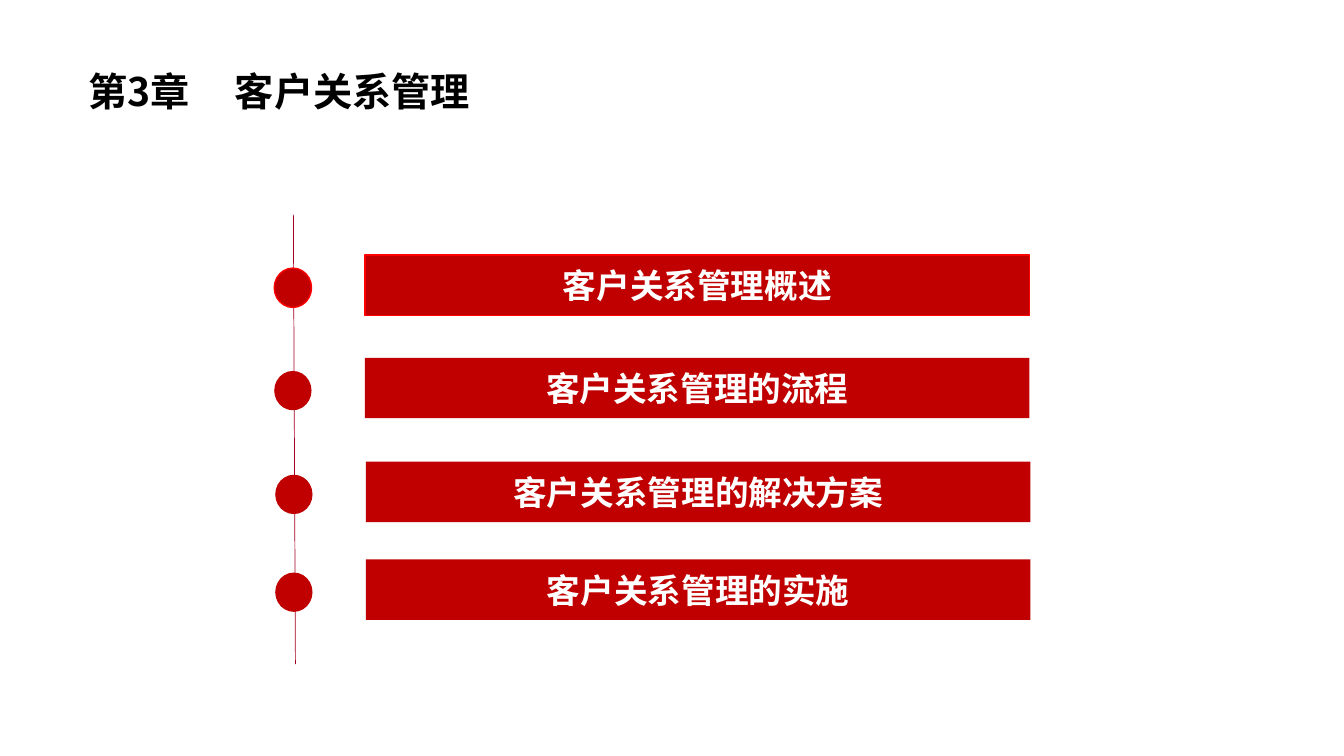
from lxml import etree
from pptx import Presentation
from pptx import util as u
from pptx.dml.color import RGBColor
from pptx.enum import shapes, text
from pptx.oxml.ns import qn

COLORS = {"bar": "C00000", "accent": "FF0000", "axis": "A50021",
          "title": "000000", "label": "FFFFFF"}
FONT = "Noto Sans CJK SC"
BAR_W, BAR_H = 6.59, 0.6
DOT_W, DOT_H = 0.37, 0.39
DOT_DX, DOT_DY = -0.9, 0.13
# label, left, top, outline
SECTIONS = [
    ("客户关系管理概述", 3.62, 2.53, "accent"),
    ("客户关系管理的流程", 3.62, 3.55, None),
    ("客户关系管理的解决方案", 3.63, 4.58, None),
    ("客户关系管理的实施", 3.63, 5.55, None),
]


def rgb(name):
    return RGBColor.from_string(COLORS[name])


def add_block(s, kind, box, fill=None, line=None):
    sp = s.shapes.add_shape(kind, *map(u.Inches, box))
    sp.shadow.inherit = False
    if fill:
        sp.fill.solid()
        sp.fill.fore_color.rgb = rgb(fill)
    else:
        sp.fill.background()
    if line:
        sp.line.color.rgb = rgb(line)
        sp.line.width = u.Pt(1)
    else:
        sp.line.fill.background()
    return sp


def write(sp, words, size, color, align, tab=None):
    """Fill a shape with one bold line; tab is a tab stop in inches."""
    tf = sp.text_frame
    tf.word_wrap = True
    tf.vertical_anchor = text.MSO_ANCHOR.MIDDLE
    p = tf.paragraphs[0]
    p.text = words
    p.alignment = align
    if tab:
        tabs = etree.SubElement(p._p.get_or_add_pPr(), qn("a:tabLst"))
        etree.SubElement(tabs, qn("a:tab"), pos=str(u.Inches(tab)), algn="l")
    for r in p.runs:
        r.font.name = FONT
        r.font.size = u.Pt(size)
        r.font.bold = True
        r.font.color.rgb = rgb(color)
        etree.SubElement(r._r.get_or_add_rPr(), qn("a:ea"), typeface=FONT)


def add_title(s, box):
    sp = add_block(s, shapes.MSO_SHAPE.ROUNDED_RECTANGLE, box)
    write(sp, "第3章\t客户关系管理", 28, "title", text.PP_ALIGN.JUSTIFY, tab=1.45)


def add_axis(s, start, end):
    line = s.shapes.add_connector(shapes.MSO_CONNECTOR.STRAIGHT,
                                  *map(u.Inches, start + end))
    line.line.color.rgb = rgb("axis")
    line.line.width = u.Pt(0.5)
    etree.SubElement(line._element.spPr, qn("a:effectLst"))


def add_section(s, label, left, top, outline):
    """Place a labelled bar and its dot on the axis."""
    dot = (left + DOT_DX, top + DOT_DY, DOT_W, DOT_H)
    add_block(s, shapes.MSO_SHAPE.OVAL, dot, "bar", outline)
    bar = add_block(s, shapes.MSO_SHAPE.RECTANGLE,
                    (left, top, BAR_W, BAR_H), "bar", outline)
    write(bar, label, 24, "label", text.PP_ALIGN.CENTER)


def main():
    prs = Presentation()
    prs.slide_width, prs.slide_height = u.Inches(13.33), u.Inches(7.5)
    s = prs.slides.add_slide(prs.slide_layouts[6])
    add_axis(s, (2.91, 2.13), (2.93, 6.59))
    add_title(s, (0.74, 0.48, 7.9, 0.85))
    for section in SECTIONS:
        add_section(s, *section)
    prs.save("out.pptx")


if __name__ == "__main__":
    main()
